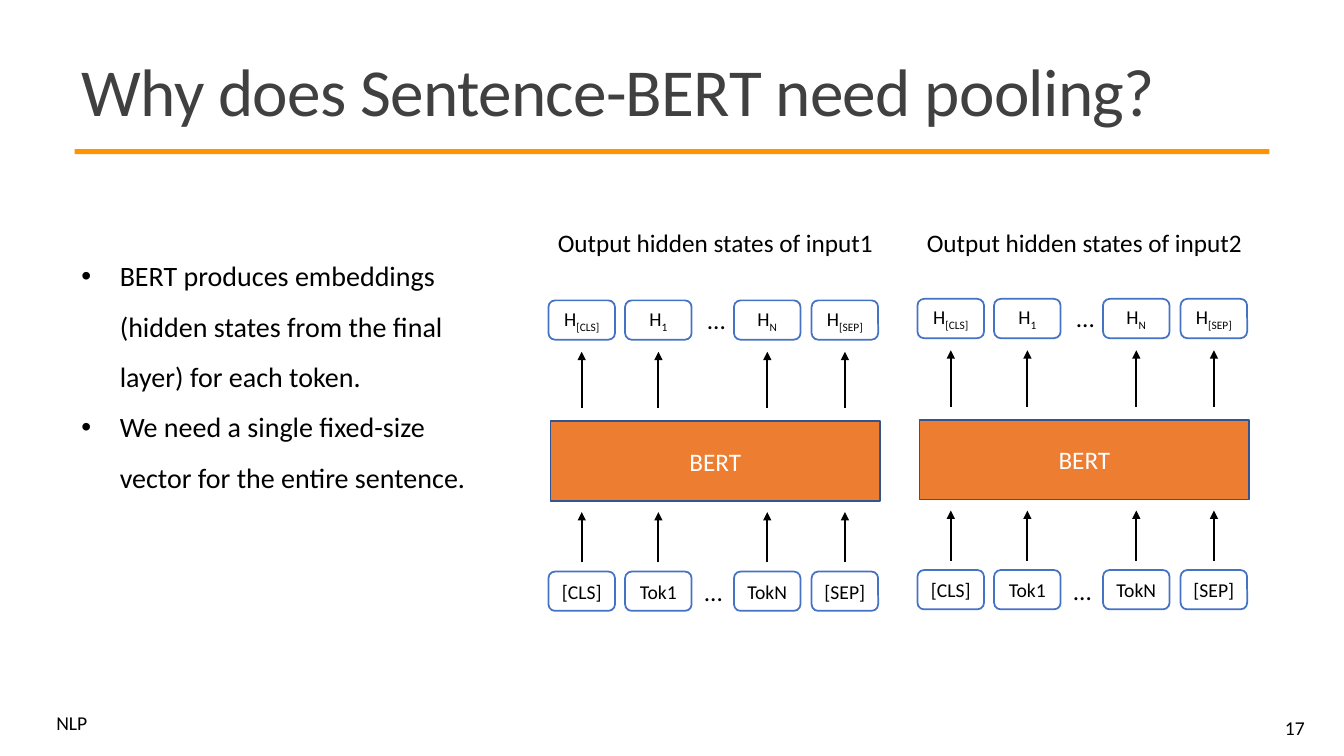
from lxml.etree import SubElement
from pptx import Presentation
from pptx.dml.color import RGBColor
from pptx.enum.shapes import MSO_CONNECTOR, MSO_SHAPE
from pptx.enum.text import MSO_ANCHOR, MSO_AUTO_SIZE, PP_ALIGN
from pptx.oxml.ns import qn
from pptx.util import Inches, Pt

BLACK = RGBColor(0, 0, 0)
WHITE = RGBColor(255, 255, 255)
GRAY = RGBColor(0x40, 0x40, 0x40)
AMBER = RGBColor(0xFF, 0x94, 0x00)
ORANGE = RGBColor(0xED, 0x7D, 0x31)
BLUE = RGBColor(0x44, 0x72, 0xC4)
NAVY = RGBColor(0x32, 0x54, 0x91)

deck = Presentation()
deck.slide_width, deck.slide_height = Inches(13.33), Inches(7.5)
slide = deck.slides.add_slide(deck.slide_layouts[5])
shapes = slide.shapes


def write(text, at=None, shape=None, size=18, color=BLACK, sub="", space=None,
          align=PP_ALIGN.CENTER, anchor=MSO_ANCHOR.TOP, bullet=False, track=None):
    """Fill a shape, or a new text box at the given place, one paragraph a line."""
    if shape is None:
        shape = shapes.add_textbox(*map(Inches, at))
    frame = shape.text_frame
    frame.word_wrap, frame.auto_size = True, MSO_AUTO_SIZE.NONE
    frame.vertical_anchor = anchor
    frame.text = text
    for para in frame.paragraphs:
        para.alignment = align
        if space:
            para.line_spacing = space
        if sub:
            para.add_run().text = sub
            para.runs[1].font._element.set("baseline", "-25000")
        if bullet:
            props = para._p.get_or_add_pPr()
            props.set("marL", str(Inches(0.38)))
            props.set("indent", str(Inches(-0.38)))
            SubElement(props, qn("a:buFont")).set("typeface", "Arial")
            SubElement(props, qn("a:buChar")).set("char", "•")
        for run in para.runs:
            run.font.name, run.font.size = "Calibri", Pt(size)
            run.font.color.rgb = color
            if track:
                run.font._element.set("spc", str(track))


def block(kind, at, fill=None, line=None):
    shape = shapes.add_shape(kind, *map(Inches, at))
    shape.shadow.inherit = False
    if fill is None:
        shape.fill.background()
    else:
        shape.fill.solid()
        shape.fill.fore_color.rgb = fill
    if line is None:
        shape.line.fill.background()
    else:
        shape.line.color.rgb, shape.line.width = line, Pt(1.25)
    frame = shape.text_frame
    frame.margin_left = frame.margin_right = Inches(0.05)
    return shape


# Title, rule and footer
title = shapes.title
title.left, title.top, title.width, title.height = map(Inches, (0.71, 0.39, 11.94, 1.13))
write("Why does Sentence-BERT need pooling?", shape=title, size=48, color=GRAY,
      align=PP_ALIGN.LEFT, anchor=MSO_ANCHOR.MIDDLE, space=0.85, track=-50)
block(MSO_SHAPE.RECTANGLE, (0.74, 1.48, 11.85, 0.05), fill=AMBER)
write("NLP", (0.46, 7.05, 0.61, 0.29), size=14, align=PP_ALIGN.LEFT, space=0.8)
write("17", (11.61, 7.02, 1.43, 0.4), size=14, align=PP_ALIGN.RIGHT,
      anchor=MSO_ANCHOR.MIDDLE)

# Bullets
write("BERT produces embeddings (hidden states from the final layer) for each token.\n"
      "We need a single fixed-size vector for the entire sentence.",
      (0.71, 2.35, 4.34, 2.57), size=20, align=PP_ALIGN.LEFT, space=1.5, bullet=True)

# Two encoders: tokens at the bottom, hidden states at the top
WIDE, HIGH = 0.66, 0.39
COLS = (0, 0.76, 1.84, 2.61)
TOKENS = ("[CLS]", "Tok1", "TokN", "[SEP]")
STATES = ("[CLS]", "1", "N", "[SEP]")

for num, (left, lift) in enumerate(((5.44, 0), (9.1, 0.015)), 1):
    write(f"Output hidden states of input{num}", (left - 0.1, 2.21, 3.51, 0.4))
    bert = block(MSO_SHAPE.RECTANGLE, (left + 0.02, 4.18 - lift, 3.27, 0.79), ORANGE, NAVY)
    write("BERT", shape=bert, color=WHITE, anchor=MSO_ANCHOR.MIDDLE)

    for col, token, state in zip(COLS, TOKENS, STATES):
        x = left + col
        for top, text, sub in ((2.98, "H", state), (5.67, token, "")):
            cell = block(MSO_SHAPE.ROUNDED_RECTANGLE, (x, top - lift, WIDE, HIGH), line=BLUE)
            write(text, shape=cell, size=14, sub=sub, anchor=MSO_ANCHOR.MIDDLE)

        # Arrows into and out of the encoder
        mid = x + WIDE / 2
        for low, high in ((5.58, 5.08), (4.05, 3.49)):
            arrow = shapes.add_connector(MSO_CONNECTOR.STRAIGHT, *map(
                Inches, (mid, low - lift, mid, high - lift)))
            arrow.line.color.rgb, arrow.line.width = BLACK, Pt(1.5)
            SubElement(arrow.line._get_or_add_ln(), qn("a:tailEnd")).set("type", "triangle")
            SubElement(arrow._element.spPr, qn("a:effectLst"))

    for shift, top in ((1.38, 2.97), (1.35, 5.67)):
        write("...", (left + shift, top - lift, 0.57, 0.4))

deck.save("out.pptx")
